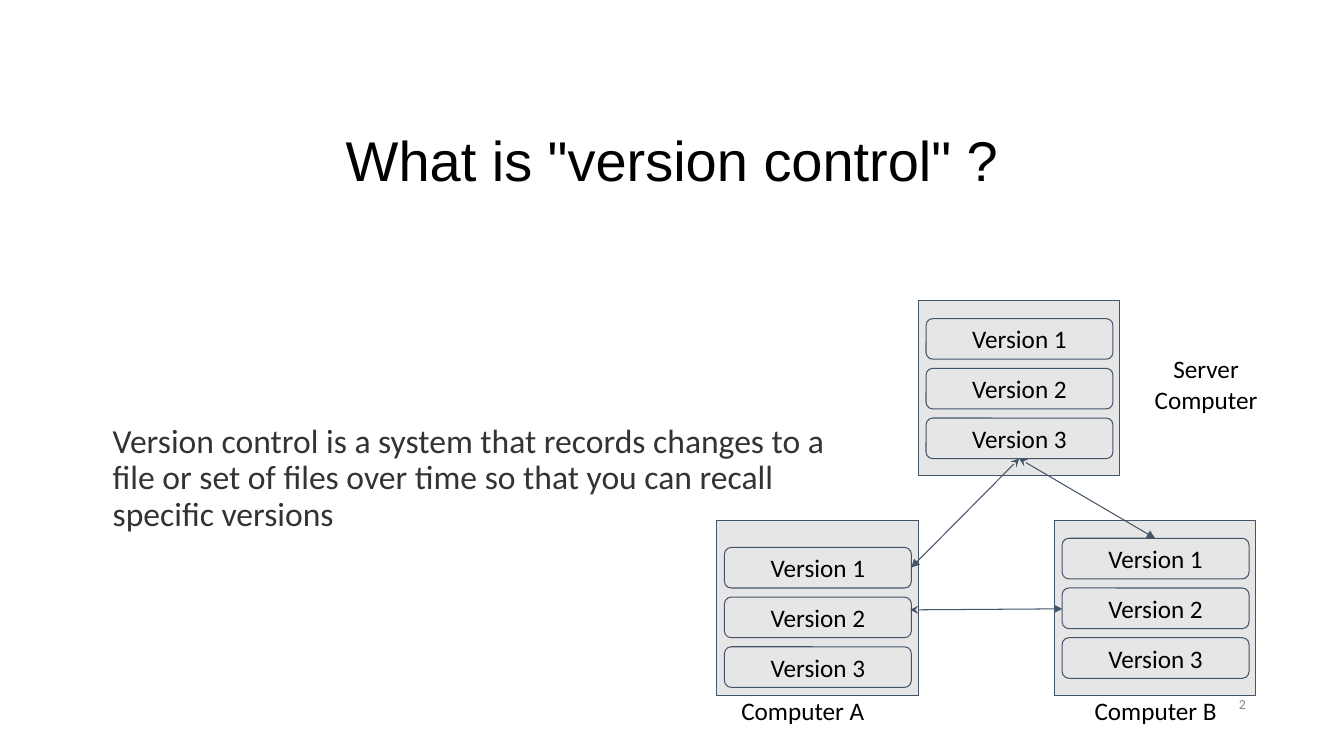
import pptx
import pptx.util
import pptx.dml.color
import pptx.enum.shapes
import pptx.enum.text
import pptx.oxml
import pptx.oxml.ns
import lxml.etree

Pt = pptx.util.Pt
RGBColor = pptx.dml.color.RGBColor
MSO_SHAPE = pptx.enum.shapes.MSO_SHAPE
ALIGN = pptx.enum.text.PP_ALIGN
ANCHOR = pptx.enum.text.MSO_ANCHOR

BLACK = RGBColor(0x00, 0x00, 0x00)
BODY_GREY = RGBColor(0x33, 0x33, 0x33)
NUMBER_GREY = RGBColor(0x89, 0x89, 0x89)
PANEL_GREY = RGBColor(0xE7, 0xE6, 0xE6)
SLATE = RGBColor(0x44, 0x54, 0x6A)

LABEL_FRAME = {"margin_top": Pt(7.2), "margin_bottom": Pt(7.2)}
LABEL_FONT = {"size": Pt(18), "name": "Calibri"}


def write(sp, text, frame, para, font, color):
    tf = sp.text_frame
    tf.word_wrap = True
    p = tf.paragraphs[0]
    r = p.add_run()
    r.text = text
    for target, values in ((tf, frame), (p, para), (r.font, font)):
        for name, value in values.items():
            setattr(target, name, value)
    r.font.color.rgb = color


def add_box(kind, left, top, width, height):
    sp = s.shapes.add_shape(kind, Pt(left), Pt(top), Pt(width), Pt(height))
    sp.shadow.inherit = False
    sp.fill.solid()
    sp.fill.fore_color.rgb = PANEL_GREY
    sp.line.color.rgb = SLATE
    sp.line.width = Pt(0.75)
    return sp


prs = pptx.Presentation()
prs.slide_width = Pt(960)
prs.slide_height = Pt(540)
s = prs.slides.add_slide(prs.slide_layouts[6])

texts = [
    ("What is \"version control\" ?", (92.9, 64.8, 774, 104.4),
     {"vertical_anchor": ANCHOR.MIDDLE},
     {"alignment": ALIGN.CENTER, "line_spacing": 0.9},
     {"size": Pt(40), "name": "Arial"}, BLACK),
    ("Version control is a system that records changes to a file or set of files "
     "over time so that you can recall specific versions", (73.4, 223.2, 546.5, 212.4),
     {"margin_top": Pt(80)}, {"line_spacing": 0.9},
     {"size": Pt(24), "name": "Calibri"}, BODY_GREY),
    ("2", (852.5, 490.3, 44.6, 24.5),
     {"vertical_anchor": ANCHOR.MIDDLE},
     {"alignment": ALIGN.RIGHT, "space_after": Pt(6)},
     {"size": Pt(10), "name": "Calibri"}, NUMBER_GREY),
]
for label, left, top in (("Server Computer", 799.9, 245.5),
                         ("Computer A", 511.9, 489.6),
                         ("Computer B", 763.9, 489.6)):
    texts.append((label, (left, top, 123.1, 36.7), LABEL_FRAME,
                  {"alignment": ALIGN.CENTER}, LABEL_FONT, BLACK))

for text, box, frame, para, font, color in texts:
    sp = s.shapes.add_textbox(*[Pt(v) for v in box])
    write(sp, text, frame, para, font, color)

for left, top, inset in ((656, 214.6, 13), (512, 371.5, 19.5), (753.2, 371.5, 13)):
    add_box(MSO_SHAPE.RECTANGLE, left, top, 144, 125.3)
    for i in range(3):
        sp = add_box(MSO_SHAPE.ROUNDED_RECTANGLE,
                     left + 5.5, top + inset + 35.5 * i, 133.5, 29)
        sp.adjustments[0] = 0.167
        write(sp, f"Version {i + 1}", {**LABEL_FRAME, "vertical_anchor": ANCHOR.MIDDLE},
              {"alignment": ALIGN.CENTER}, LABEL_FONT, BLACK)

for ends in ((728, 327.6, 825.1, 384.5),
             (728, 327.6, 650.9, 405.4),
             (650.2, 435.6, 758.9, 434.9)):
    cn = s.shapes.add_connector(pptx.enum.shapes.MSO_CONNECTOR.STRAIGHT,
                                *[Pt(v) for v in ends])
    cn.line.color.rgb = SLATE
    cn.line.width = Pt(0.75)
    ln = cn.line._get_or_add_ln()
    for tag, kind in (("a:headEnd", "stealth"), ("a:tailEnd", "triangle")):
        lxml.etree.SubElement(ln, pptx.oxml.ns.qn(tag), type=kind)
    lxml.etree.SubElement(cn._element.spPr, pptx.oxml.ns.qn("a:effectLst"))

prs.save("out.pptx")
